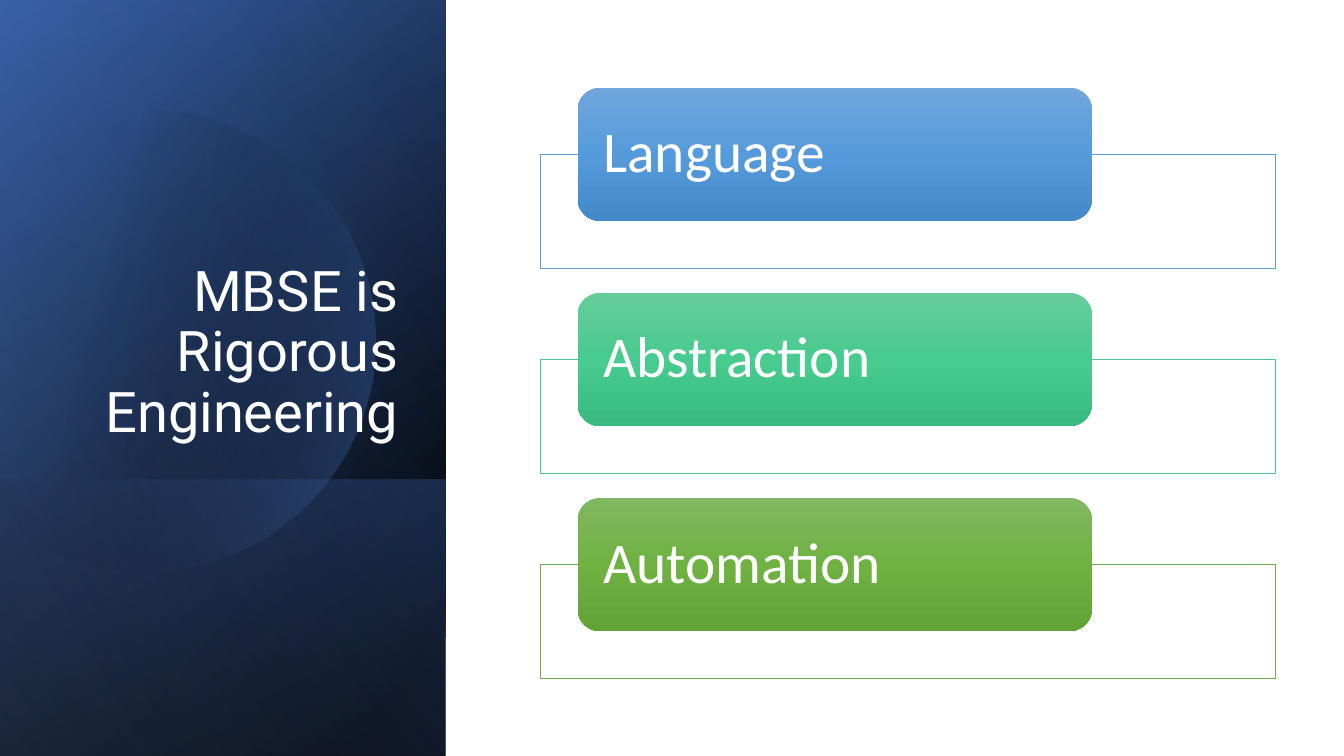
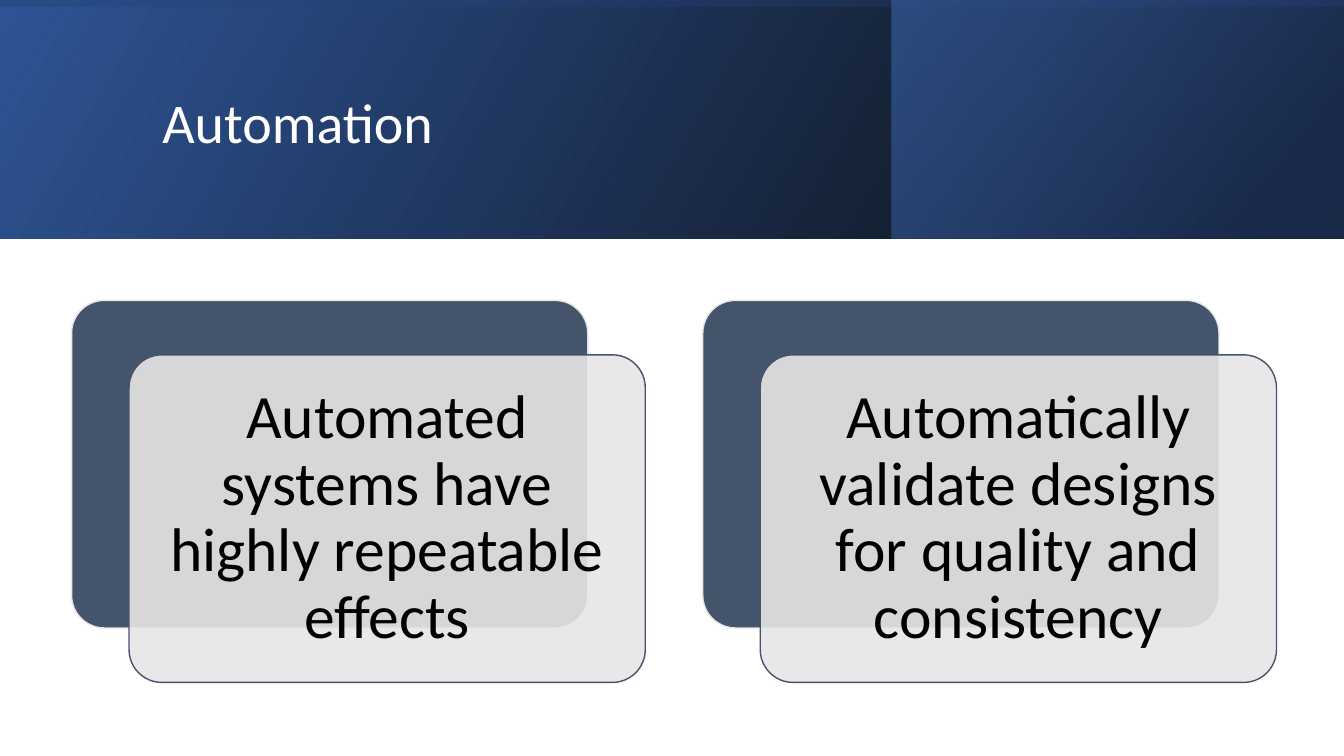
from math import acos, cos, sin

from lxml import etree
from pptx import Presentation
from pptx.dml.color import RGBColor
from pptx.enum.shapes import MSO_SHAPE as SHAPE
from pptx.enum.text import MSO_ANCHOR as ANCHOR, MSO_AUTO_SIZE as AUTO, PP_ALIGN as ALIGN
from pptx.oxml.ns import qn
from pptx.util import Inches, Pt

SLIDE_W, SLIDE_H = 13.33, 7.5
PANEL_W = 4.42
HEADER_H = 2.37
BODY_FONT = "Calibri"

COLORS = {
    "white": "FFFFFF",
    "black": "000000",
    "navy": "203864",
    "deep": "2F5597",
    "blue": "4472C4",
    "pale": "8FAADC",
    "slate": "44546A",
    "gray": "E7E6E6",
}

# Label, outline colour, gradient from top to bottom
PILLARS = [
    ("Language", "5B9BD5", ("71A6DB", "559BDB", "448ACA")),
    ("Abstraction", "4DC58D", ("67CC9A", "47CB8E", "39BB7F")),
    ("Automation", "70AD47", ("81B861", "6FB242", "62A336")),
]
BENEFITS = [
    "Automated systems have highly repeatable effects",
    "Automatically validate designs for quality and consistency",
]


def rgb(color):
    return RGBColor.from_string(COLORS.get(color, color))


# Fills and lines
def fill_solid(sp, color, alpha=100):
    sp.fill.solid()
    sp.fill.fore_color.rgb = rgb(color)
    if alpha < 100:
        clr = sp._element.spPr.find(qn("a:solidFill"))[0]
        etree.SubElement(clr, qn("a:alpha"), val=str(alpha * 1000))


def fill_gradient(sp, stops, angle):
    """Each stop is (position %, colour, opacity %)."""
    sp.fill.background()
    spPr = sp._element.spPr
    grad = etree.Element(qn("a:gradFill"), rotWithShape="1")
    gs_list = etree.SubElement(grad, qn("a:gsLst"))
    for pos, color, alpha in stops:
        gs = etree.SubElement(gs_list, qn("a:gs"), pos=str(pos * 1000))
        clr = etree.SubElement(gs, qn("a:srgbClr"), val=COLORS.get(color, color))
        if alpha < 100:
            etree.SubElement(clr, qn("a:alpha"), val=str(alpha * 1000))
    etree.SubElement(grad, qn("a:lin"), ang=str(round(angle * 60000)), scaled="0")
    spPr.replace(spPr.find(qn("a:noFill")), grad)


def set_line(sp, color=None, width=1):
    if color is None:
        sp.line.fill.background()
    else:
        sp.line.color.rgb = rgb(color)
        sp.line.width = Pt(width)


# Shapes and text
def add_box(slide, kind, box, line=None, width=1, radius=None):
    sp = slide.shapes.add_shape(kind, *map(Inches, box))
    sp.shadow.inherit = False
    set_line(sp, line, width)
    if radius is not None:
        sp.adjustments[0] = radius
    return sp


def set_text(sp, text, size, color, align=ALIGN.LEFT, anchor=ANCHOR.MIDDLE,
             font=BODY_FONT, insets=(0.1, 0.05)):
    tf = sp.text_frame
    tf.text = text
    tf.word_wrap = True
    tf.auto_size = AUTO.NONE
    tf.vertical_anchor = anchor
    tf.margin_left = tf.margin_right = Inches(insets[0])
    tf.margin_top = tf.margin_bottom = Inches(insets[1])
    p = tf.paragraphs[0]
    p.alignment = align
    p.line_spacing = 0.9
    r = p.runs[0]
    r.font.size = Pt(size)
    r.font.name = font
    r.font.color.rgb = rgb(color)


def add_band(slide, box, stops, angle, rotation=0):
    """Mirrored gradient rectangle; box is the area covered after rotation."""
    x, y, w, h = box
    if rotation:
        x, y, w, h = x + (w - h) / 2, y + (h - w) / 2, h, w
    sp = add_box(slide, SHAPE.RECTANGLE, (x, y, w, h))
    sp.rotation = rotation
    sp._element.spPr.find(qn("a:xfrm")).set("flipH", "1")
    fill_gradient(sp, stops, angle)


def add_glow(slide, cx, cy, radius, stops, angle, steps=120):
    """Circle cut off by the left edge of the slide."""
    limit = acos(-cx / radius)
    turns = [limit * (2 * i / steps - 1) for i in range(steps + 1)]
    points = [(Inches(cx + radius * cos(t)), Inches(cy + radius * sin(t))) for t in turns]
    builder = slide.shapes.build_freeform(*points[0])
    builder.add_line_segments(points[1:], close=True)
    sp = builder.convert_to_shape()
    sp.shadow.inherit = False
    set_line(sp)
    fill_gradient(sp, stops, angle)


def place_title(slide, text, box, **style):
    title = slide.shapes.title
    title.left, title.top, title.width, title.height = map(Inches, box)
    set_text(title, text, 40, "white", **style)
    # Bring the title in front of the bands drawn so far
    slide.shapes._spTree.append(title._element)


def add_pillar(slide, top, label, color, shades):
    frame = add_box(slide, SHAPE.RECTANGLE, (5.36, top + 0.66, 7.29, 1.13), color, 0.5)
    fill_solid(frame, "white", 90)
    tab = add_box(slide, SHAPE.ROUNDED_RECTANGLE, (5.73, top, 5.1, 1.32))
    fill_gradient(tab, [(50 * i, shade, 100) for i, shade in enumerate(shades)], 90)
    set_text(tab, label, 41, "white", insets=(0.19, 0))


def add_card(slide, left, text):
    top, w, h = 2.98, 5.12, 3.25
    back = add_box(slide, SHAPE.ROUNDED_RECTANGLE, (left, top, w, h), "gray", radius=0.1)
    fill_solid(back, "slate")
    front = add_box(slide, SHAPE.ROUNDED_RECTANGLE, (left + 0.57, top + 0.54, w, h),
                    "slate", radius=0.1)
    fill_solid(front, "gray", 90)
    set_text(front, text, 44, "black", ALIGN.CENTER, insets=(0.18, 0.18))


# Slides
def build_pillars(slide):
    panel = (0, 0, PANEL_W, SLIDE_H)
    foot = (0, 4.76, PANEL_W, 2.74)
    add_band(slide, panel, [(8, "black", 100), (100, "deep", 100)], 50, 90)
    add_band(slide, panel, [(0, "black", 0), (99, "blue", 46)], 30, 90)
    add_band(slide, foot, [(2, "blue", 29), (100, "black", 30)], 130, 90)
    add_glow(slide, 1.43, 3.38, 2.29, [(29, "black", 0), (100, "blue", 43)], 13.9)
    add_band(slide, panel, [(0, "black", 0), (99, "pale", 11)], 120, 90)
    place_title(slide, "MBSE is Rigorous Engineering", (0.64, 1.84, 3.41, 2.62),
                align=ALIGN.RIGHT, anchor=ANCHOR.BOTTOM, font="Roboto")
    for i, pillar in enumerate(PILLARS):
        add_pillar(slide, 0.87 + 2.035 * i, *pillar)


def build_benefits(slide):
    header = (0, 0, SLIDE_W, HEADER_H)
    corner = (8.84, 0, SLIDE_W - 8.84, HEADER_H)
    add_band(slide, header, [(0, "black", 96), (100, "deep", 100)], 330)
    add_band(slide, corner, [(19, "navy", 68), (100, "blue", 48)], 320)
    add_band(slide, header, [(23, "deep", 16), (99, "black", 45)], 350, 270)
    place_title(slide, "Automation", (1.51, 0.38, 10.63, 1.72))
    for i, text in enumerate(BENEFITS):
        add_card(slide, 0.71 + 6.26 * i, text)


def main():
    prs = Presentation()
    prs.slide_width, prs.slide_height = Inches(SLIDE_W), Inches(SLIDE_H)
    title_only = prs.slide_layouts[5]
    for build in (build_pillars, build_benefits):
        build(prs.slides.add_slide(title_only))
    prs.save("out.pptx")


if __name__ == "__main__":
    main()
